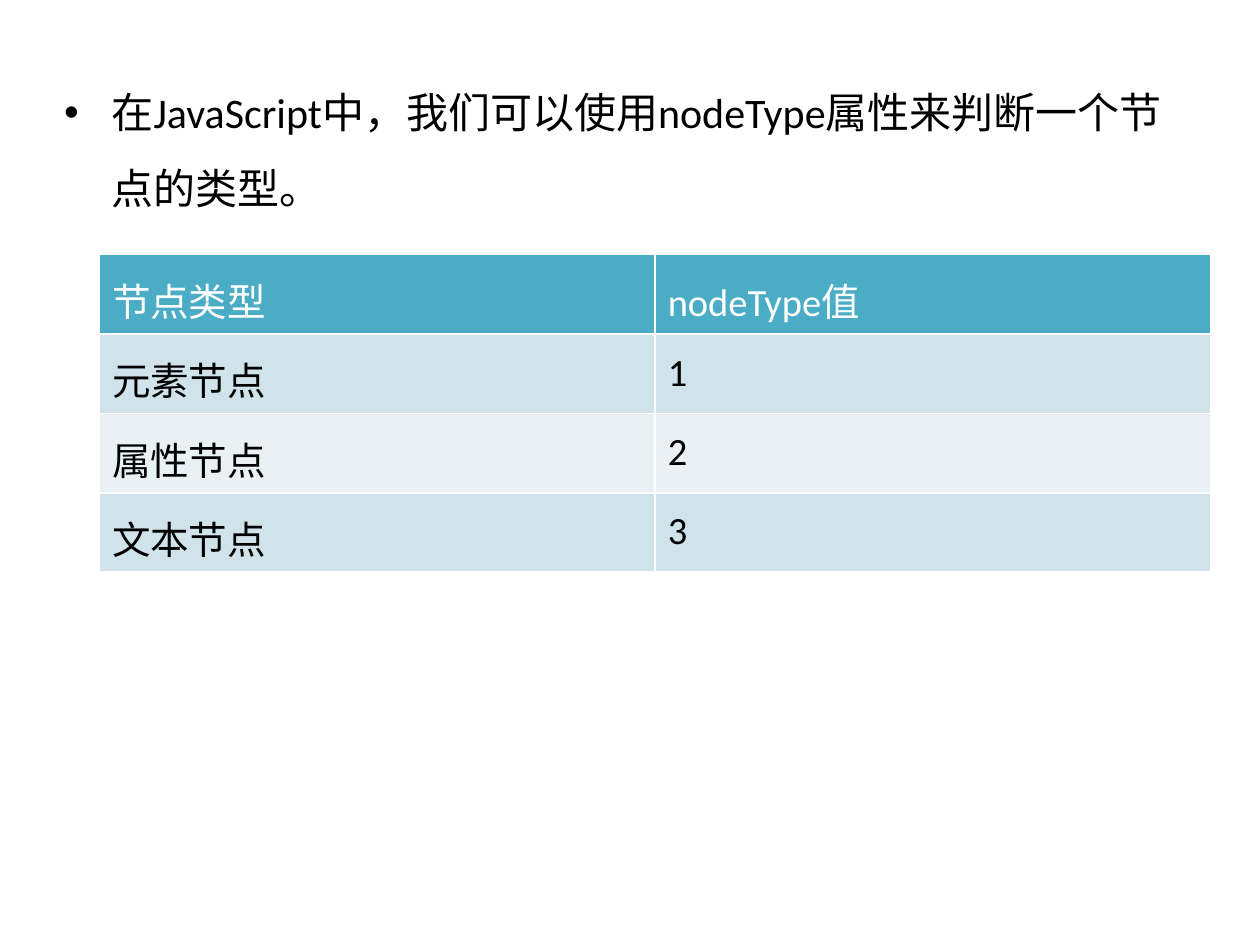
from pptx import Presentation
from pptx.dml.color import RGBColor as RGB
from pptx.util import Inches, Pt

BLACK = RGB(0x00, 0x00, 0x00)
WHITE = RGB(0xFF, 0xFF, 0xFF)
TEAL = RGB(0x4B, 0xAC, 0xC6)
BANDS = [RGB(0xE9, 0xF1, 0xF5), RGB(0xD0, 0xE3, 0xEA)]

INTRO = "在JavaScript中，我们可以使用nodeType属性来判断一个节点的类型。"
NODE_TYPES = [
    ("节点类型", "nodeType值"),
    ("元素节点", "1"),
    ("属性节点", "2"),
    ("文本节点", "3"),
]


def write(tf, text, size, color, spacing):
    """Fill a text frame with one formatted paragraph."""
    p = tf.paragraphs[0]
    p.line_spacing = spacing
    r = p.add_run()
    r.text = text
    style = {"name": "Calibri", "size": Pt(size), "bold": False}
    for key, value in style.items():
        setattr(r.font, key, value)
    r.font.color.rgb = color


def add_intro(s, left, top, width, height):
    """Place the bulleted sentence in the body placeholder."""
    body = s.placeholders[1]
    box = {"left": left, "top": top, "width": width, "height": height}
    for key, value in box.items():
        setattr(body, key, Inches(value))
    write(body.text_frame, INTRO, 24, BLACK, 1.5)


def add_node_table(s, left, top, width, height):
    """Place the table of node types with a header and banded rows."""
    box = [Inches(v) for v in (left, top, width, height)]
    table = s.shapes.add_table(len(NODE_TYPES), len(NODE_TYPES[0]), *box).table
    for i, row in enumerate(NODE_TYPES):
        for j, text in enumerate(row):
            cell = table.cell(i, j)
            cell.fill.solid()
            cell.fill.fore_color.rgb = BANDS[i % 2] if i else TEAL
            write(cell.text_frame, text, 22, BLACK if i else WHITE, 1.2)


def main():
    """Build and save the slide."""
    prs = Presentation()
    prs.slide_width, prs.slide_height = Inches(10), Inches(7.5)
    s = prs.slides.add_slide(prs.slide_layouts[1])
    title = s.shapes.title.element
    title.getparent().remove(title)
    add_intro(s, 0.41, 0.44, 9.2, 1.57)
    add_node_table(s, 0.79, 2.02, 8.82, 2.16)
    prs.save("out.pptx")


main()
